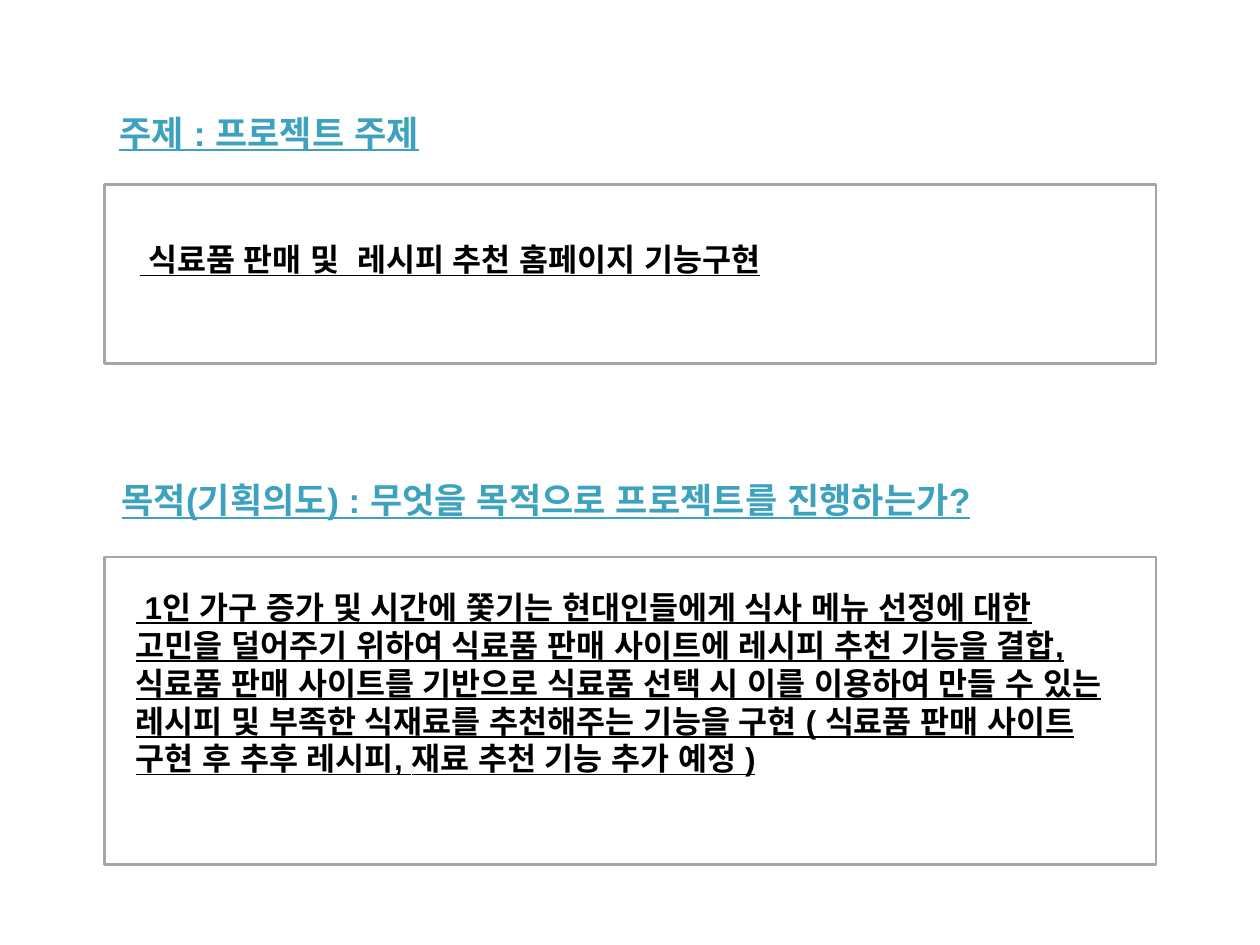
from lxml import etree
from pptx import Presentation
from pptx.dml.color import RGBColor
from pptx.enum.shapes import MSO_SHAPE
from pptx.enum.text import MSO_ANCHOR, MSO_AUTO_SIZE, PP_ALIGN
from pptx.oxml.ns import qn
from pptx.util import Pt

RECTANGLE = MSO_SHAPE.RECTANGLE
TOP, LEFT, NO_FIT = MSO_ANCHOR.TOP, PP_ALIGN.LEFT, MSO_AUTO_SIZE.NONE

TEAL = RGBColor(0x3C, 0xA2, 0xBE)
GRAY = RGBColor(0xA6, 0xA6, 0xA6)
BLACK = RGBColor(0, 0, 0)
FONT = "Arial"

# Content: boxes are (left, top, width, height) in points
SECTIONS = [
    {
        "heading": "주제 : 프로젝트 주제",
        "heading_box": (61, 60, 213.8, 31.7),
        "frame_box": (59.6, 105.6, 601, 102.2),
        "body": " 식료품 판매 및  레시피 추천 홈페이지 기능구현",
        "body_box": (72.7, 133.9, 576, 28.8),
    },
    {
        "heading": "목적(기획의도) : 무엇을 목적으로 프로젝트를 진행하는가?",
        "heading_box": (62.4, 270, 542.9, 31.7),
        "heading_wrap": False,
        "frame_box": (59.6, 318.4, 601, 175.7),
        "body": " 1인 가구 증가 및 시간에 쫓기는 현대인들에게 식사 메뉴 선정에 대한 "
                "고민을 덜어주기 위하여 식료품 판매 사이트에 레시피 추천 기능을 결합, "
                "식료품 판매 사이트를 기반으로 식료품 선택 시 이를 이용하여 만들 수 있는 "
                "레시피 및 부족한 식재료를 추천해주는 기능을 구현 ( 식료품 판매 사이트 "
                "구현 후 추후 레시피, 재료 추천 기능 추가 예정 )",
        "body_box": (70.6, 332.6, 576, 138.2),
    },
]


def points(box):
    return [Pt(value) for value in box]


def write_text(shape, text, *, size, color, wrap=True):
    """Fill a shape with one bold, underlined, left-aligned paragraph."""
    frame = shape.text_frame
    frame.word_wrap = wrap
    frame.auto_size = NO_FIT
    frame.vertical_anchor = TOP
    paragraph = frame.paragraphs[0]
    paragraph.alignment = LEFT
    run = paragraph.add_run()
    run.text = text
    run.font.name = FONT
    run.font.size = Pt(size)
    run.font.bold = True
    run.font.underline = True
    run.font.color.rgb = color
    # Korean text and its spaces follow the East Asian font
    properties = run._r.get_or_add_rPr()
    for tag in ("a:ea", "a:cs"):
        etree.SubElement(properties, qn(tag), typeface=FONT)


def add_frame(slide, box):
    shape = slide.shapes.add_shape(RECTANGLE, *points(box))
    shape.shadow.inherit = False
    shape.fill.background()
    shape.line.color.rgb = GRAY
    shape.line.width = Pt(1.5)


def main():
    presentation = Presentation()
    presentation.slide_width, presentation.slide_height = Pt(720), Pt(540)
    slide = presentation.slides.add_slide(presentation.slide_layouts.get_by_name("Title Only"))

    for index, section in enumerate(SECTIONS):
        # Heading: the first one is the slide title
        box = points(section["heading_box"])
        if index == 0:
            heading = slide.shapes.title
            heading.left, heading.top, heading.width, heading.height = box
        else:
            heading = slide.shapes.add_textbox(*box)
        write_text(heading, section["heading"], size=20, color=TEAL,
                   wrap=section.get("heading_wrap", True))

        # Framed body text
        add_frame(slide, section["frame_box"])
        body = slide.shapes.add_textbox(*points(section["body_box"]))
        write_text(body, section["body"], size=18, color=BLACK)

    presentation.save("out.pptx")


if __name__ == "__main__":
    main()
